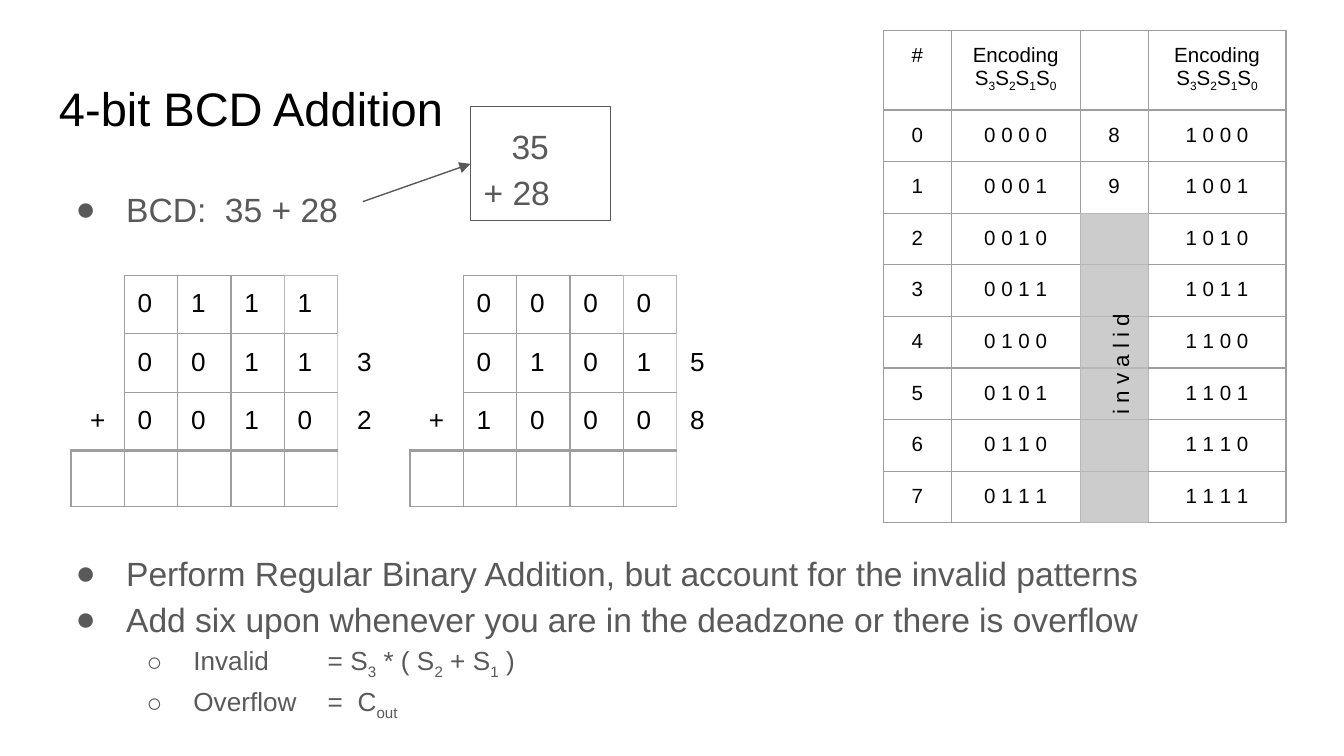
from lxml.etree import SubElement
from pptx import Presentation
from pptx.dml.color import RGBColor
from pptx.enum.shapes import MSO_CONNECTOR, MSO_SHAPE
from pptx.enum.text import MSO_ANCHOR, PP_ALIGN
from pptx.oxml.ns import qn
from pptx.util import Pt

# Text between a pair of bars is subscript.
TITLE = "4-bit BCD Addition"
POINTS = [  # level, space before, text
    (0, 0, "BCD:  35 + 28"),
    (0, 170, "Perform Regular Binary Addition, but account for the invalid patterns"),
    (0, 0, "Add six upon whenever you are in the deadzone or there is overflow"),
    (1, 0, "Invalid \t= S|3| * ( S|2| + S|1| )"),
    (1, 0, "Overflow \t=  C|out|"),
]
LEVELS = [  # left margin, hanging indent, size, bullet
    (36, -27, 18, "●"),
    (72, -25, 14, "○"),
]
PROBLEM = [(15, "35"), (0, "+ 28")]  # indent, text
HEAD = "Encoding\nS|3|S|2|S|1|S|0|"
CODES = [["#", HEAD, "", HEAD]] + [
    [str(n), " ".join(f"{n:04b}"), str(n + 8) if n < 2 else "", " ".join(f"{n + 8:04b}")]
    for n in range(8)
]
SUMS = [  # left, alignment of the decimal digits, rows
    (38, PP_ALIGN.CENTER, [" 0111 ", " 00113", "+00102", "      "]),
    (219.6, PP_ALIGN.LEFT, [" 0000 ", " 01015", "+10008", "      "]),
]
BLACK, GREY, LINE, MID, PALE = "000000", "595959", "9E9E9E", "B7B7B7", "CCCCCC"
NO_STYLE = "{2D5ABB26-0587-4C30-8999-92F81FD0307C}"
STEPS = {"L": (0, -1), "R": (0, 1), "T": (-1, 0), "B": (1, 0)}

deck = Presentation()
deck.slide_width, deck.slide_height = Pt(720), Pt(405)
slide = deck.slides.add_slide(deck.slide_layouts[6])


def color(code):
    return RGBColor.from_string(code)


def put(item, **vals):
    for name, val in vals.items():
        setattr(item, name, val)


def write(para, text, size, code, **form):
    """Fill a paragraph, lowering each part between bars."""
    put(para, **form)
    for i, part in enumerate(text.split("|")):
        if part:
            run = para.add_run()
            run.text = part
            put(run.font, name="Arial", size=Pt(size))
            run.font.color.rgb = color(code)
            if i % 2:
                run._r.get_or_add_rPr().set("baseline", "-25000")


def paras(frame, count):
    return [frame.paragraphs[0]] + [frame.add_paragraph() for _ in range(count - 1)]


def pad(frame):
    put(frame, word_wrap=True, vertical_anchor=MSO_ANCHOR.TOP, margin_left=Pt(7.2),
        margin_right=Pt(7.2), margin_top=Pt(7.2), margin_bottom=Pt(7.2))
    return frame


def box(*area):
    return slide.shapes.add_textbox(*map(Pt, area))


def indent(para, left, first=0):
    props = para._p.get_or_add_pPr()
    props.set("marL", str(Pt(left)))
    props.set("indent", str(Pt(first)))
    return props


def bullet(para, left, first, mark):
    props = indent(para, left, first)
    tint = SubElement(props, qn("a:buClr"))
    SubElement(tint, qn("a:srgbClr"), val=GREY)
    SubElement(props, qn("a:buFont"), typeface="Arial")
    SubElement(props, qn("a:buChar"), char=mark)


def edge(cell, side, code, width):
    line = SubElement(cell._tc.get_or_add_tcPr(), qn("a:ln" + side), w=str(Pt(width)))
    fill = SubElement(line, qn("a:solidFill"))
    SubElement(fill, qn("a:srgbClr"), val=code)


def grid(left, top, cols, rows, texts, size, align, border, fill):
    """Draw a table; align, border and fill are rules asked for each cell."""
    frame = slide.shapes.add_table(len(rows), len(cols), Pt(left), Pt(top),
                                   Pt(sum(cols)), Pt(sum(rows)))
    table = frame.table
    put(table, first_row=False, horz_banding=False)
    table._tbl.tblPr.find(qn("a:tableStyleId")).text = NO_STYLE
    for col, width in zip(table.columns, cols):
        col.width = Pt(width)
    for r, row in enumerate(texts):
        table.rows[r].height = Pt(rows[r])
        for c, text in enumerate(row):
            cell, text = table.cell(r, c), text.strip()
            gap = Pt(7.2 if text else 0)
            put(cell, margin_left=Pt(7.2), margin_right=Pt(7.2),
                margin_top=gap, margin_bottom=gap)
            lines = text.split("\n")
            for para, part in zip(paras(cell.text_frame, len(lines)), lines):
                write(para, part, size, BLACK, alignment=align(c))
            for side in "LRTB":
                look = border(r, c, side)
                if look:
                    edge(cell, side, *look)
            if fill(r, c):
                cell.fill.solid()
                cell.fill.fore_color.rgb = color(PALE)
            else:
                cell.fill.background()


def dead(r, c):
    return 3 <= r <= 8 and c == 2


def code_edge(r, c, side):
    down, over = STEPS[side]
    return (MID if dead(r, c) or dead(r + down, c + over) else LINE), 0.75


def sum_edge(r, c, side):
    """Frame the bits, with a heavy rule above the result row."""
    if c == 5 or (c == 0 and r < 3):
        return None
    if (r, side) in ((2, "B"), (3, "T")):
        return LINE, 2.25 if c else 1.5
    if c == 4 and r == 0:
        return MID, 0.75
    return (PALE if (c, side) == (4, "R") else LINE), 0.75


title = pad(box(24.5, 35.3, 671, 45.4).text_frame)
write(title.paragraphs[0], TITLE, 25.2, BLACK)

body = pad(box(24.5, 90.7, 671, 295).text_frame)
for para, (level, before, text) in zip(paras(body, len(POINTS)), POINTS):
    left, first, size, mark = LEVELS[level]
    write(para, text, size, GREY, level=level, line_spacing=1.15, space_before=Pt(before))
    bullet(para, left, first, mark)

grid(473.2, 16.3, [36.4, 69.1, 36.4, 73.9], [40.8] + [27.6] * 8, CODES, 11,
     lambda c: PP_ALIGN.CENTER, code_edge, dead)
for left, last, rows in SUMS:
    aligns = [PP_ALIGN.CENTER] + [PP_ALIGN.LEFT] * 4 + [last]
    grid(left, 147.6, [28.6] * 6, [30] * 4, rows, 14,
         lambda c: aligns[c], sum_edge, lambda r, c: False)

label = box(517.7, 180.7, 164.9, 28.8)
label.rotation = 270
write(pad(label.text_frame).paragraphs[0], "i n v a l i d", 12, BLACK,
      alignment=PP_ALIGN.CENTER)

frame = slide.shapes.add_shape(MSO_SHAPE.RECTANGLE, Pt(252), Pt(56.9), Pt(75), Pt(61.2))
frame.shadow.inherit = False
frame.fill.background()
for para, (left, text) in zip(paras(pad(frame.text_frame), len(PROBLEM)), PROBLEM):
    write(para, text, 18, GREY, alignment=PP_ALIGN.LEFT, line_spacing=1.15)
    indent(para, left)

arrow = slide.shapes.add_connector(MSO_CONNECTOR.STRAIGHT, Pt(194.4), Pt(108), Pt(252), Pt(87.8))
for shape in (frame, arrow):
    shape.line.color.rgb = color(GREY)
    shape.line.width = Pt(0.75)
props = arrow._element.spPr
SubElement(props.find(qn("a:ln")), qn("a:tailEnd"), type="triangle")
SubElement(props, qn("a:effectLst"))

deck.save("out.pptx")
